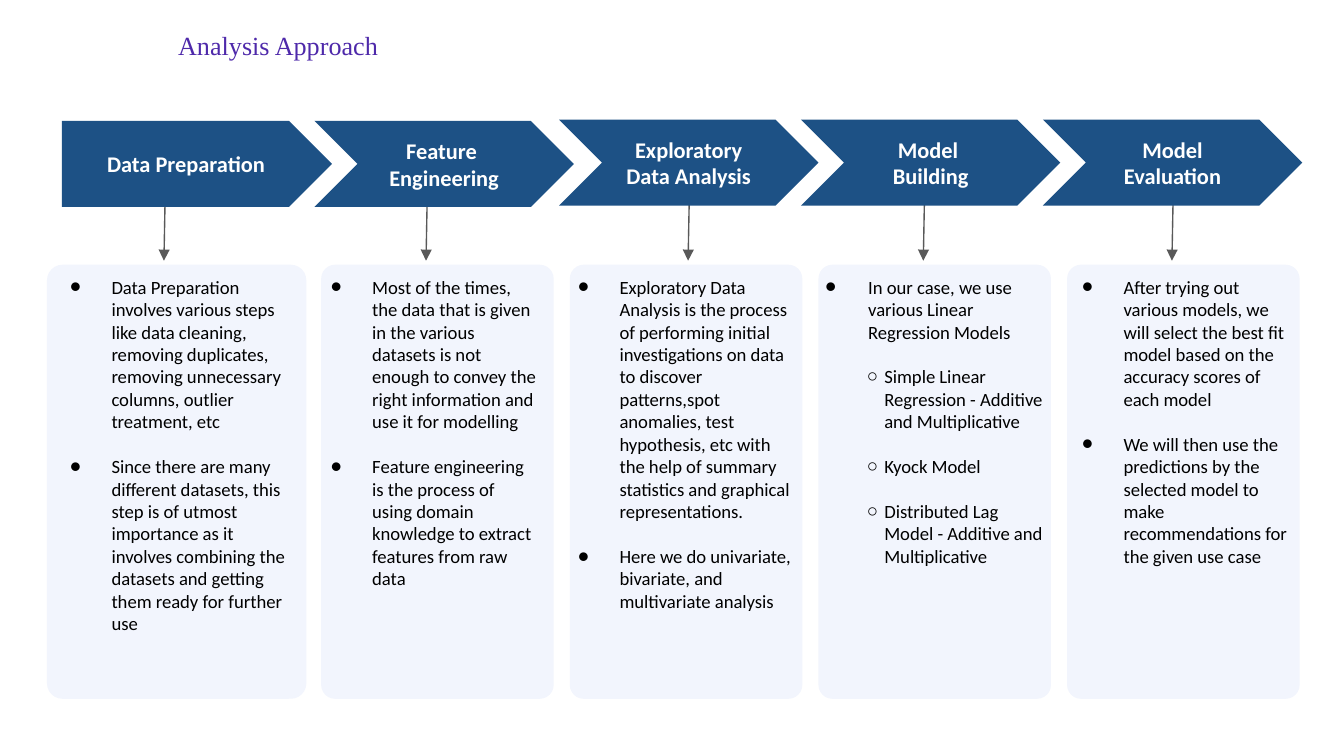
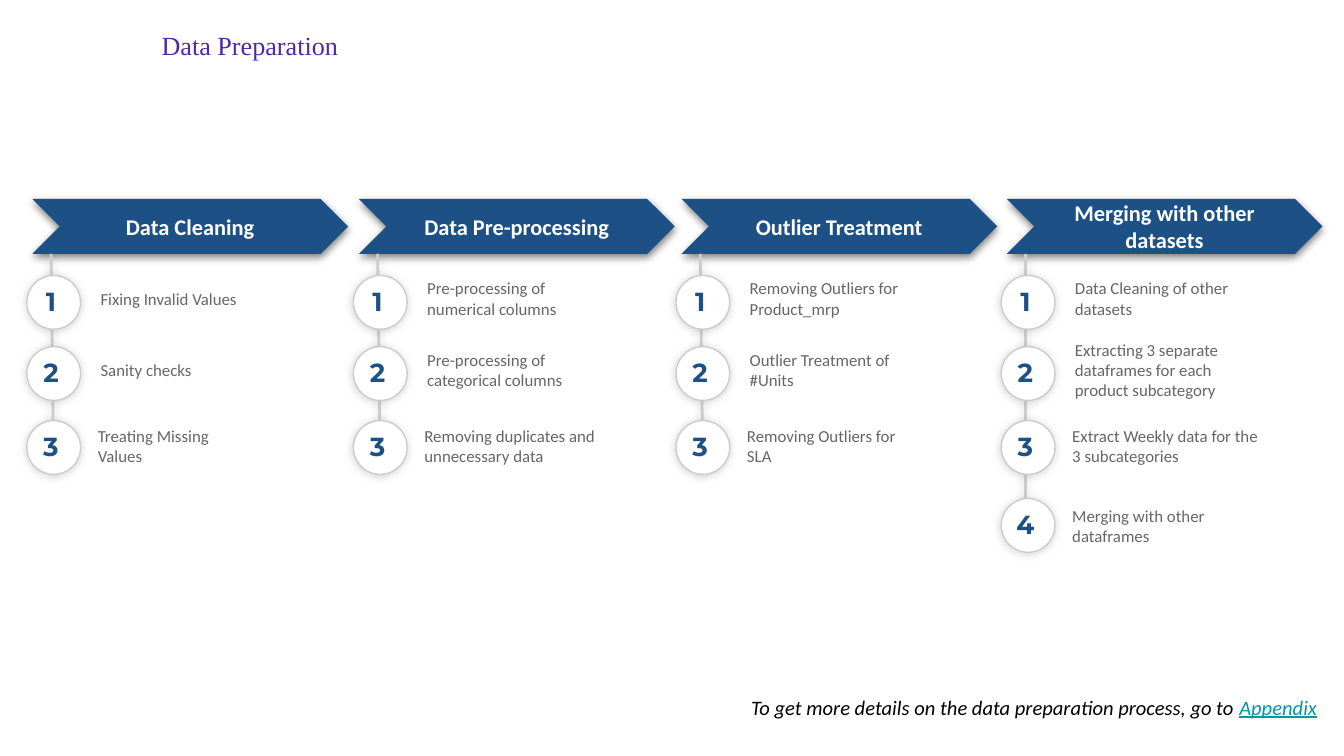
"""Build two slides on the analysis approach and the data preparation steps."""
import copy

import pptx
import pptx.dml.color
import pptx.enum.shapes
import pptx.enum.text
import pptx.oxml
import pptx.oxml.ns
import pptx.util

Inches, Pt = pptx.util.Inches, pptx.util.Pt
SHAPE = pptx.enum.shapes.MSO_SHAPE
ALIGN = pptx.enum.text.PP_ALIGN
ANCHOR = pptx.enum.text.MSO_ANCHOR

NAVY, WHITE, BLACK = "1D5185", "FFFFFF", "000000"
GRAY, SILVER, CARD = "666666", "CCCCCC", "6F91ED"

TITLE = {"size": Pt(14), "name": "Times New Roman", "bold": False, "color": "4E29AA"}
BANNER = {"size": Pt(12), "name": "Calibri", "bold": True, "color": WHITE}
BODY = {"size": Pt(10), "name": "Calibri", "color": BLACK}
STEP = {"size": Pt(9), "name": "Calibri", "color": GRAY}
NUMBER = {"size": Pt(14), "name": "Montserrat", "bold": True, "color": NAVY}
NOTE = {"size": Pt(11), "name": "Calibri", "italic": True, "color": BLACK}
REFERENCE = NOTE | {"underline": True, "color": "0097A7"}

BANNER_SHADOW = {"color": "000000", "alpha": 50, "blur": 4.5, "distance": 1.5, "angle": 90}
STEP_SHADOW = {"color": "999999", "alpha": 40, "blur": 4.5, "distance": 0.8, "angle": 107}

STAGES = [
    {"name": "Data Preparation", "banner": (0.46, 0.9, 2.01, 0.64), "arrow": 1.23,
     "card": (0.35, 1.93), "list": (0.42, 1.85, 2.9), "indent": 0.31, "points": [
         (0, "Data Preparation involves various steps like data cleaning, removing duplicates, "
             "removing unnecessary columns, outlier treatment, etc"),
         (0, "Since there are many different datasets, this step is of utmost importance as it "
             "involves combining the datasets and getting them ready for further use")]},
    {"name": "Feature \nEngineering", "banner": (2.34, 0.9, 1.93, 0.64), "arrow": 3.18,
     "card": (2.39, 1.73), "list": (2.36, 1.73, 2.56), "indent": 0.31, "points": [
         (0, "Most of the times, the data that is given in the various datasets is not enough "
             "to convey the right information and use it for modelling"),
         (0, "Feature engineering is the process of using domain knowledge to extract features "
             "from raw data")]},
    {"name": "Exploratory Data Analysis", "banner": (4.16, 0.89, 1.93, 0.64), "arrow": 5.13,
     "card": (4.24, 1.73), "list": (4.2, 1.85, 2.73), "indent": 0.31, "points": [
         (0, "Exploratory Data Analysis is the process of performing initial investigations on "
             "data to discover patterns,spot anomalies, test hypothesis, etc with the help of "
             "summary statistics and graphical representations."),
         (0, "Here we do univariate, bivariate, and multivariate analysis")]},
    {"name": "Model \nBuilding", "banner": (5.96, 0.89, 1.93, 0.64), "arrow": 6.88,
     "card": (6.09, 1.73), "list": (5.86, 2.01, 2.39), "indent": 0.5, "points": [
         (0, "In our case, we use various Linear Regression Models"),
         (1, "Simple Linear Regression - Additive and Multiplicative"),
         (1, "Kyock Model"),
         (1, "Distributed Lag Model - Additive and Multiplicative")]},
    {"name": "Model Evaluation", "banner": (7.76, 0.89, 1.93, 0.64), "arrow": 8.73,
     "card": (7.94, 1.73), "list": (7.95, 1.73, 2.39), "indent": 0.31, "points": [
         (0, "After trying out various models, we will select the best fit model based on the "
             "accuracy scores of each model"),
         (0, "We will then use the predictions by the selected model to make recommendations "
             "for the given use case")]},
]

TRACKS = [
    ("Data Cleaning", 0.24, [
        ("Fixing Invalid Values", 1.3), ("Sanity checks", 1.36),
        ("Treating Missing Values", 1.36)]),
    ("Data Pre-processing", 2.67, [
        ("Pre-processing of numerical columns", 1.55),
        ("Pre-processing of categorical columns", 1.55),
        ("Removing duplicates and unnecessary data", 1.73)]),
    ("Outlier Treatment", 5.07, [
        ("Removing Outliers for Product_mrp", 1.6), ("Outlier Treatment of #Units", 1.36),
        ("Removing Outliers for SLA", 1.36)]),
    ("Merging with other datasets", 7.49, [
        ("Data Cleaning of other datasets", 1.6),
        ("Extracting 3 separate dataframes for each product subcategory", 1.36),
        ("Extract Weekly data for the 3 subcategories", 1.6),
        ("Merging with other dataframes", 1.6)]),
]
STEP_ROWS = [(2.05, 0.41, 2.07), (2.58, 0.41, 2.6), (3.13, 0.39, 3.17), (3.71, 0.39, 3.76)]


def rgb(color):
    return pptx.dml.color.RGBColor.from_string(color)


def assign(target, values):
    for key, value in values.items():
        setattr(target, key, value)


def place(box, left, top, width, height):
    sides = ("left", "top", "width", "height")
    assign(box, dict(zip(sides, map(Inches, (left, top, width, height)))))


def add_xml(parent, tag, **values):
    child = pptx.oxml.parse_xml(f"<a:{tag} {pptx.oxml.ns.nsdecls('a')}/>")
    for key, value in values.items():
        child.set(key, str(value))
    parent.append(child)
    return child


def write(para, text, style):
    span = para.add_run()
    span.text = text
    assign(span.font, {key: value for key, value in style.items() if key != "color"})
    span.font.color.rgb = rgb(style["color"])


def set_frame(box, anchor, insets=(0.1, 0.1, 0.1, 0.1)):
    frame = box.text_frame
    sides = ("margin_left", "margin_top", "margin_right", "margin_bottom")
    assign(frame, dict(zip(sides, map(Inches, insets))))
    assign(frame, {"word_wrap": True, "vertical_anchor": anchor,
                   "auto_size": pptx.enum.text.MSO_AUTO_SIZE.NONE})
    return frame


def fill_lines(frame, text, style, align):
    for index, line in enumerate(text.split("\n")):
        para = frame.add_paragraph() if index else frame.paragraphs[0]
        para.alignment = align
        write(para, line, style)


def set_shadow(shape, shadow):
    properties = shape.element.spPr
    for effects in properties.xpath("a:effectLst"):
        properties.remove(effects)
    effects = add_xml(properties, "effectLst")
    if shadow:
        outer = add_xml(effects, "outerShdw", blurRad=Pt(shadow["blur"]),
                        dist=Pt(shadow["distance"]), dir=shadow["angle"] * 60000,
                        algn="bl", rotWithShape=0)
        tone = add_xml(outer, "srgbClr", val=shadow["color"])
        add_xml(tone, "alpha", val=shadow["alpha"] * 1000)


def add_figure(page, kind, area, fill, line=None, shadow=None):
    shape = page.shapes.add_shape(kind, *map(Inches, area))
    shape.fill.solid()
    shape.fill.fore_color.rgb = rgb(fill)
    if line:
        shape.line.color.rgb = rgb(line)
        shape.line.width = Pt(0.75)
    else:
        shape.line.fill.background()
    set_shadow(shape, shadow)
    return shape


def add_banner(page, kind, area, name, shadow=None):
    banner = add_figure(page, kind, area, NAVY, shadow=shadow)
    fill_lines(set_frame(banner, ANCHOR.MIDDLE), name, BANNER, ALIGN.CENTER)


def add_line(page, ends, color, width, shadow=None):
    line = page.shapes.add_connector(
        pptx.enum.shapes.MSO_CONNECTOR.STRAIGHT, *map(Inches, ends))
    line.line.color.rgb = rgb(color)
    line.line.width = Pt(width)
    set_shadow(line, shadow)
    return line


def add_text(page, area, anchor):
    return set_frame(page.shapes.add_textbox(*map(Inches, area)), anchor)


def add_page(deck, layout, title, width):
    page = deck.slides.add_slide(layout)
    box = page.shapes.title
    place(box, 0.28, 0.17, width, 0.41)
    frame = set_frame(box, ANCHOR.TOP, (0.1, 0.05, 0.1, 0.05))
    fill_lines(frame, title, TITLE, ALIGN.CENTER)
    return page


def add_list_slots(layout, count):
    slot = layout.placeholders[1].element
    for number in range(11, 11 + count):
        twin = copy.deepcopy(slot)
        twin.xpath(".//p:cNvPr")[0].set("id", str(number))
        twin.xpath(".//p:ph")[0].set("idx", str(number))
        slot.addnext(twin)


def fill_list(box, points, indent):
    frame = set_frame(box, ANCHOR.TOP)
    for index, (level, text) in enumerate(points):
        para = frame.add_paragraph() if index else frame.paragraphs[0]
        assign(para, {"level": level, "alignment": ALIGN.LEFT,
                      "space_before": Pt(12 if index else 0)})
        write(para, text, BODY)
        properties = para._p.get_or_add_pPr()
        left, hanging, sign, face = ((indent, -0.32, "●", "Calibri"),
                                     (0.62, -0.13, "○", "Arial"))[level]
        properties.set("marL", str(Inches(left)))
        properties.set("indent", str(Inches(hanging)))
        add_xml(add_xml(properties, "buClr"), "srgbClr", val=BLACK)
        add_xml(properties, "buFont", typeface=face)
        add_xml(properties, "buChar", char=sign)


def build_approach(deck):
    layout = deck.slide_layouts[1]
    add_list_slots(layout, len(STAGES) - 1)
    page = add_page(deck, layout, "Analysis Approach", 3.58)
    slots = [box for box in page.placeholders if box.placeholder_format.idx]
    for stage in STAGES:
        x = stage["arrow"]
        arrow = add_line(page, (x, 1.4, x - 0.01, 1.94), "595959", 0.75)
        add_xml(arrow.element.xpath(".//a:ln")[0], "tailEnd", type="triangle")
    for index, (stage, slot) in enumerate(zip(STAGES, slots)):
        kind = SHAPE.CHEVRON if index else SHAPE.PENTAGON
        add_banner(page, kind, stage["banner"], stage["name"])
        left, width = stage["card"]
        card = add_figure(page, SHAPE.ROUNDED_RECTANGLE, (left, 1.97, width, 3.23), CARD)
        card.adjustments[0] = 0.06
        add_xml(card.element.xpath("./p:spPr/a:solidFill/a:srgbClr")[0], "alpha", val=9000)
        left, width, height = stage["list"]
        place(slot, left, 1.95, width, height)
        fill_list(slot, stage["points"], stage["indent"])
        card.element.addnext(slot.element)


def build_preparation(deck):
    page = add_page(deck, deck.slide_layouts[5], "Data Preparation", 3.16)
    for name, left, steps in TRACKS:
        add_banner(page, SHAPE.CHEVRON, (left, 1.48, 2.35, 0.41), name, BANNER_SHADOW)
        drift, bottom = (0.16, 3.53) if len(steps) == 3 else (0.14, 4.04)
        add_line(page, (left + 0.14, 1.89, left + drift, bottom), SILVER, 1.5, STEP_SHADOW)
        for number, ((text, width), row) in enumerate(zip(steps, STEP_ROWS), 1):
            circle_top, offset, text_top = row
            circle = add_figure(page, SHAPE.OVAL, (left - 0.04, circle_top, 0.4, 0.4),
                                WHITE, SILVER, STEP_SHADOW)
            frame = set_frame(circle, ANCHOR.MIDDLE, (0, 0, 0.04, 0.02))
            fill_lines(frame, str(number), NUMBER, ALIGN.CENTER)
            frame = add_text(page, (left + offset, text_top, width, 0.3), ANCHOR.MIDDLE)
            fill_lines(frame, text, STEP, ALIGN.LEFT)
    para = add_text(page, (5.49, 5.07, 4.88, 0.39), ANCHOR.TOP).paragraphs[0]
    write(para, "To get more details on the data preparation process, go to ", NOTE)
    write(para, "Appendix", REFERENCE)


def main():
    deck = pptx.Presentation()
    assign(deck, {"slide_width": Inches(10), "slide_height": Inches(10) * 9 // 16})
    build_approach(deck)
    build_preparation(deck)
    deck.save("out.pptx")


if __name__ == "__main__":
    main()
